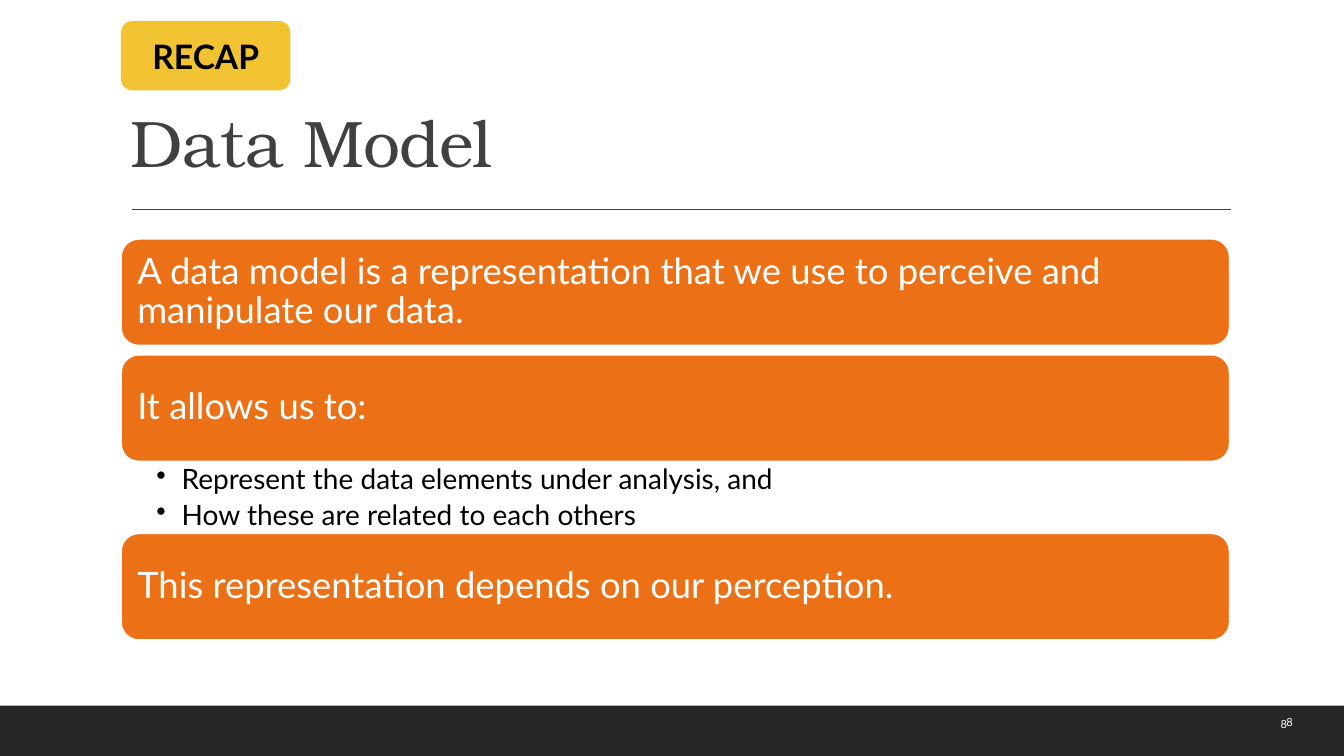
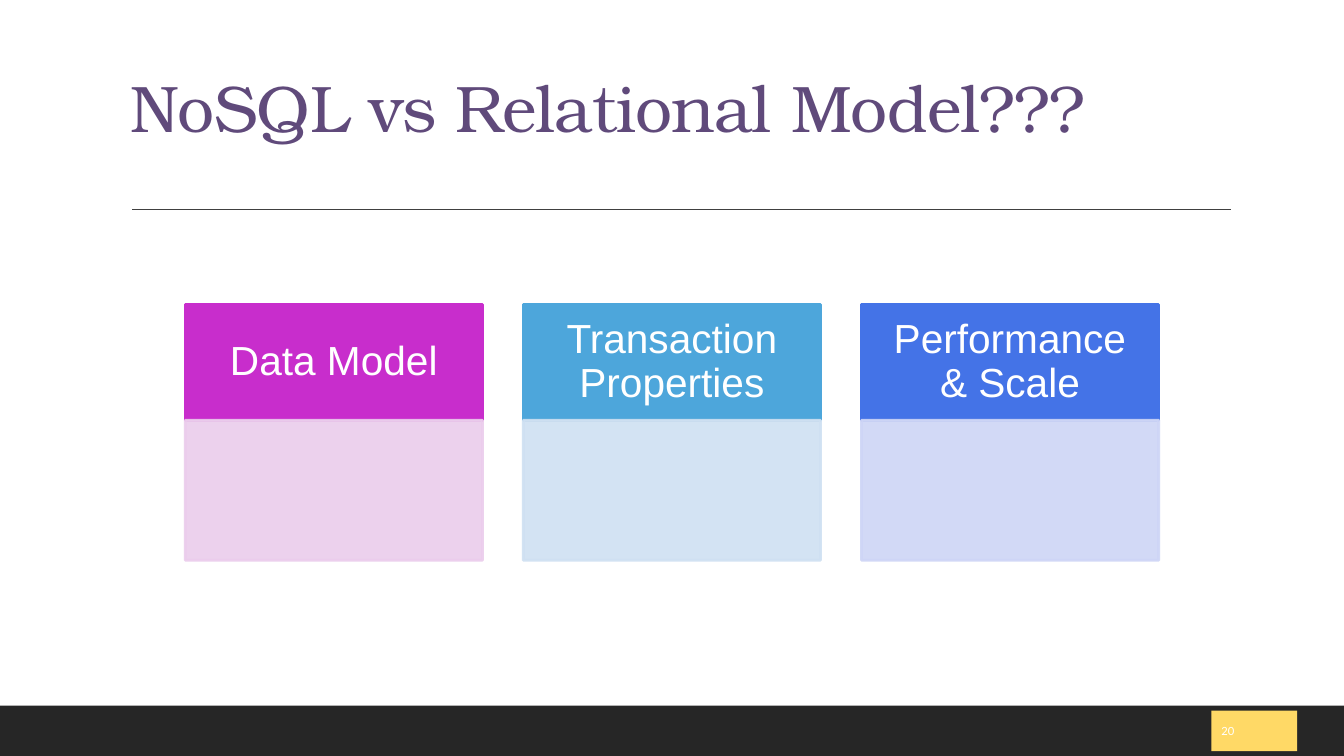
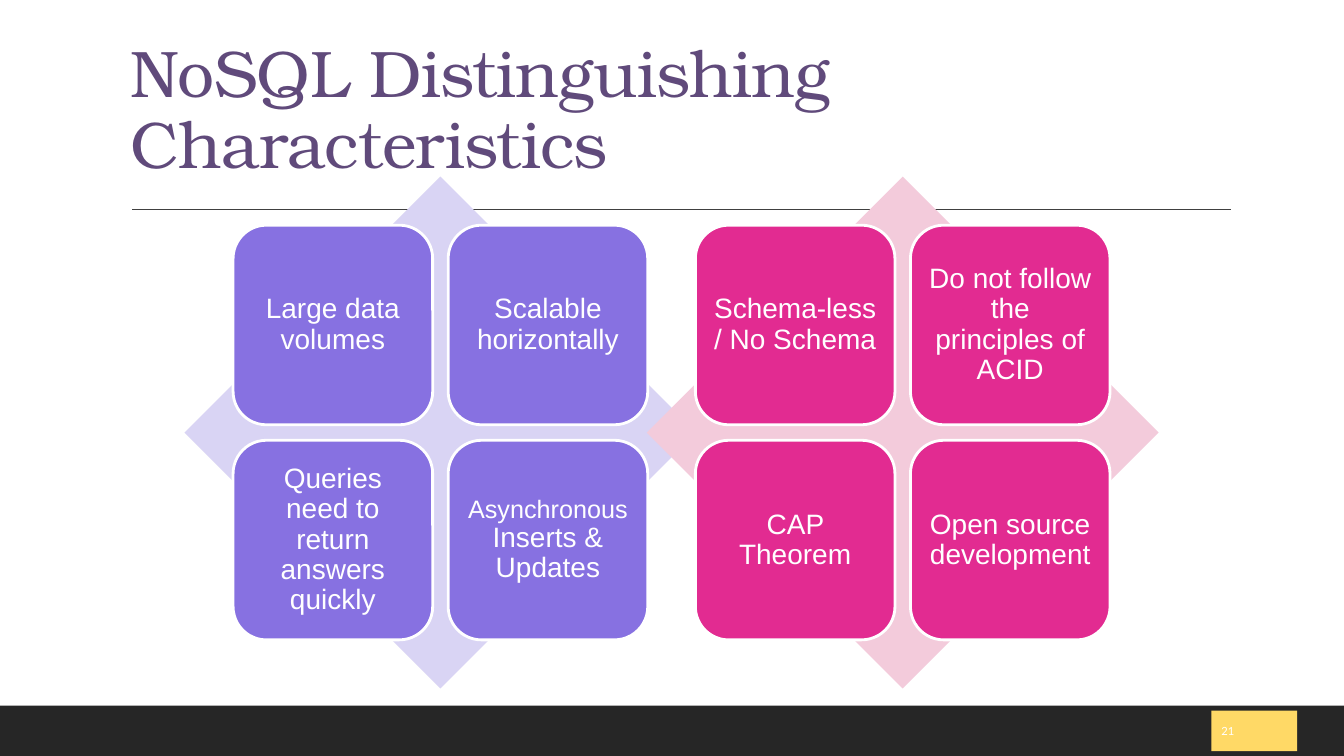
import pptx
import pptx.util
import pptx.dml.color
import pptx.enum.shapes
import pptx.enum.text
import pptx.oxml.ns
from dataclasses import dataclass
from lxml import etree

Cm, Pt = pptx.util.Cm, pptx.util.Pt
RGB = pptx.dml.color.RGBColor.from_string
KIND = pptx.enum.shapes.MSO_SHAPE
ALIGN = pptx.enum.text.PP_ALIGN
ANCHOR = pptx.enum.text.MSO_ANCHOR
qn = pptx.oxml.ns.qn


@dataclass(frozen=True)
class Theme:
    serif: str = "TeX Gyre Bonum"
    sans: str = "Lato"
    plain: str = "Arial"
    white: str = "FFFFFF"
    black: str = "000000"
    band: str = "262626"
    grey: str = "404040"
    plum: str = "604A7B"
    orange: str = "EC7016"
    gold: str = "F1C232"
    yellow: str = "FFD966"
    title: int = 47
    card: int = 29
    bar: int = 26
    recap: int = 24
    body: int = 20
    small: int = 18
    page: int = 8


T = Theme()

# Content
BARS = [
    ("A data model is a representation that we use to perceive and manipulate our data.", []),
    ("It allows us to:", ["Represent the data elements under analysis, and",
                          "How these are related to each others"]),
    ("This representation depends on our perception.", []),
]
CARDS = [  # heading, head colour, body colour
    ("Data Model", "C82DCC", "EBCCEC"),
    ("Transaction Properties", "4DA6DB", "CFE0F2"),
    ("Performance & Scale", "4473E7", "CED5F6"),
]
GRIDS = [  # diamond colour, tile colour, four tiles row by row
    ("D9D4F4", "8771E1", [
        "Large data volumes", "Scalable horizontally",
        "Queries need to return answers quickly",
        [("Asynchronous ", T.small), ("Inserts & Updates", T.body)]]),
    ("F3CBDB", "E22B91", [
        "Schema-less / No Schema", "Do not follow the principles of ACID",
        "CAP Theorem", "Open source development"]),
]

# Shared places in cm: left, top, width, height
WIDE, HIGH = 33.87, 19.05
LEFT, SPAN = 3.05, 27.94
TITLE = (LEFT, 0.79, SPAN, 4.04)
BADGE = (30.53, 17.91, 2.16, 1.02)


def place(at):
    return [Cm(v) for v in at]


def put(shape, paras, font=T.sans, size=T.body, color=T.white, bold=False,
        align=ALIGN.LEFT, anchor=ANCHOR.MIDDLE, inset=(0.25, 0.13, 0.25, 0.13),
        lead=1.0, after=0, bullet=None, track=None):
    """Fill a shape with paragraphs; each is a string or a list of (text, size)."""
    frame = shape.text_frame
    frame.word_wrap = True
    frame.vertical_anchor = anchor
    (frame.margin_left, frame.margin_top,
     frame.margin_right, frame.margin_bottom) = place(inset)
    for i, para in enumerate(paras):
        p = frame.add_paragraph() if i else frame.paragraphs[0]
        if bullet:
            props = p._p.get_or_add_pPr()
            props.set("marL", str(Cm(0.64)))
            props.set("indent", str(-Cm(0.64)))
            etree.SubElement(props, qn("a:buChar")).set("char", bullet)
        p.alignment, p.line_spacing, p.space_after = align, lead, Pt(after)
        for words, pts in [(para, size)] if isinstance(para, str) else para:
            run = p.add_run()
            run.text = words
            run.font.name, run.font.size, run.font.bold = font, Pt(pts), bold
            run.font.color.rgb = RGB(color)
            if track:
                run._r.get_or_add_rPr().set("spc", str(track))


def box(slide, at, fill, kind=KIND.RECTANGLE, line=None, width=2, alpha=None):
    shape = slide.shapes.add_shape(kind, *place(at))
    shape.shadow.inherit = False
    shape.fill.solid()
    shape.fill.fore_color.rgb = RGB(fill)
    if line:
        shape.line.color.rgb = RGB(line)
        shape.line.width = Pt(width)
    else:
        shape.line.fill.background()
    if alpha:
        for tint in shape._element.spPr.iter(qn("a:srgbClr")):
            etree.SubElement(tint, qn("a:alpha")).set("val", str(alpha * 1000))
    return shape


def note(slide, at, paras, **style):
    put(slide.shapes.add_textbox(*place(at)), paras, **style)


def start(deck, title, color=T.plum, **style):
    """New slide with the band, rule and title."""
    slide = deck.slides.add_slide(deck.slide_layouts[6])
    box(slide, (0, 17.78, WIDE, 1.27), T.band)
    rule = slide.shapes.add_connector(
        pptx.enum.shapes.MSO_CONNECTOR.STRAIGHT, *place((3.33, 5.28, 31.01, 5.28)))
    rule.line.color.rgb = RGB(T.grey)
    rule.line.width = Pt(1)
    etree.SubElement(rule._element.spPr, qn("a:effectLst"))
    note(slide, TITLE, [title], font=T.serif, size=T.title, color=color,
         lead=0.9, track=-50, **style)
    return slide


def tag(slide, page):
    put(box(slide, BADGE, T.yellow), [page], size=T.page)


def model(deck):
    even = (0.25,) * 4
    slide = start(deck, "Data Model", T.grey, anchor=ANCHOR.BOTTOM, inset=even)
    # Bars stacked from the top, bullets filling the space below their bar
    top, tall, gap, room = 6.02, 2.69, 0.23, 1.81
    for head, points in BARS:
        bar = box(slide, (LEFT, top, SPAN, tall), T.orange,
                  KIND.ROUNDED_RECTANGLE, T.white, 1.25)
        put(bar, [head], size=T.bar, lead=0.9, inset=(0.28,) * 4)
        top += tall
        if points:
            note(slide, (LEFT, top, SPAN, room), points, color=T.black,
                 anchor=ANCHOR.TOP, inset=(0.89, 0.1, 0.51, 0.1),
                 lead=0.9, after=4, bullet="•")
        top += room if points else gap
    # Page numbers and recap label
    note(slide, BADGE, ["8"], size=T.page, align=ALIGN.RIGHT,
         anchor=ANCHOR.TOP, inset=even)
    note(slide, (32.17, 17.35, 1.7, 1.7), ["8"], size=T.page)
    recap = box(slide, (LEFT, 0.53, 4.27, 1.75), T.gold, KIND.ROUNDED_RECTANGLE)
    put(recap, ["RECAP"], size=T.recap, color=T.black, bold=True,
        align=ALIGN.CENTER, inset=even)


def versus(deck):
    slide = start(deck, "NoSQL vs Relational Model???")
    tag(slide, "20")
    # Three cards, each a heading over an empty body
    left, top, wide, step, tall, deep = 4.67, 7.67, 7.49, 8.52, 2.92, 3.53
    for i, (head, dark, pale) in enumerate(CARDS):
        x = left + i * step
        cap = box(slide, (x, top, wide, tall), dark, line=dark)
        put(cap, [head], font=T.plain, size=T.card, align=ALIGN.CENTER,
            lead=0.9, inset=(0.58, 0.33, 0.58, 0.33))
        box(slide, (x, top + tall, wide, deep), pale, line=pale, alpha=90)


def traits(deck):
    slide = start(deck, "NoSQL Distinguishing Characteristics")
    tag(slide, "21")
    # Two diamonds, each with a centred two by two grid of tiles
    left, top, side, shift = 4.65, 4.45, 12.9, 11.65
    tile, step = 5.03, 5.42
    edge = (side - step - tile) / 2
    for i, (pale, dark, tiles) in enumerate(GRIDS):
        x = left + i * shift
        box(slide, (x, top, side, side), pale, KIND.DIAMOND)
        for j, words in enumerate(tiles):
            row, col = divmod(j, 2)
            at = (x + edge + col * step, top + edge + row * step, tile, tile)
            cell = box(slide, at, dark, KIND.ROUNDED_RECTANGLE, T.white)
            put(cell, [words], font=T.plain, align=ALIGN.CENTER,
                lead=0.9, inset=(0.2,) * 4)


def main():
    deck = pptx.Presentation()
    deck.slide_width, deck.slide_height = Cm(WIDE), Cm(HIGH)
    for build in (model, versus, traits):
        build(deck)
    deck.save("out.pptx")


if __name__ == "__main__":
    main()
